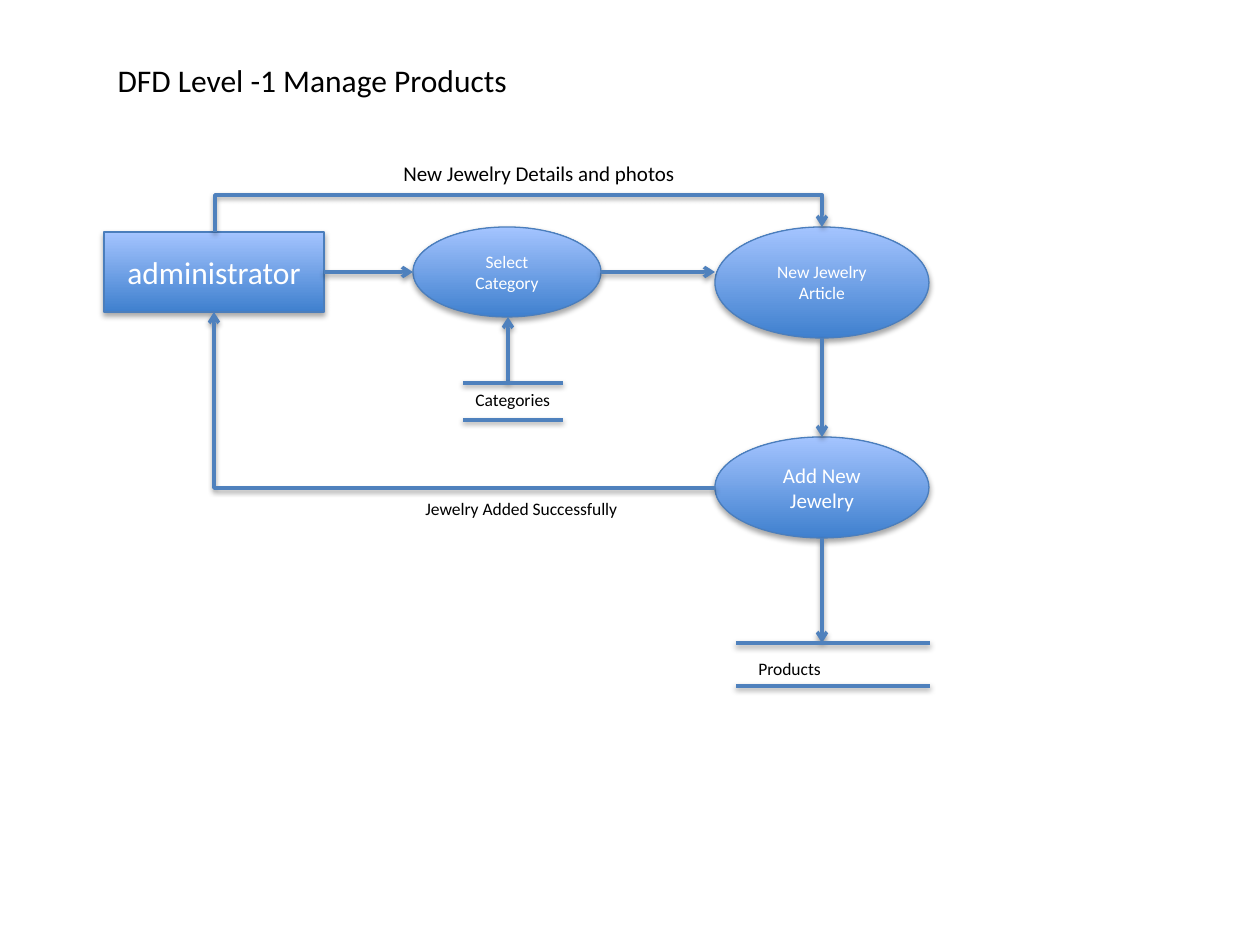
from lxml.etree import SubElement
from pptx import Presentation
from pptx.dml.color import RGBColor
from pptx.enum.shapes import MSO_CONNECTOR, MSO_SHAPE
from pptx.enum.text import MSO_ANCHOR, PP_ALIGN
from pptx.oxml.ns import qn
from pptx.util import Pt

EMU_PER_PX = 914400 / 126
FONT = "Calibri"
COLORS = {
    "node_bottom": "3F80CE",
    "node_top": "A4C4FF",
    "node_edge": "4B7EBC",
    "flow": "4F81BD",
    "text": "000000",
    "node_text": "FFFFFF",
    "shadow": "000000",
}


def px(*lengths):
    return [round(length * EMU_PER_PX) for length in lengths]


def color(name):
    return RGBColor.from_string(COLORS[name])


def add_shadow(spPr, distance, opacity):
    effects = SubElement(spPr, qn("a:effectLst"))
    shadow = SubElement(effects, qn("a:outerShdw"), blurRad="40000",
                        dist=str(distance), dir="5400000", rotWithShape="0")
    tint = SubElement(shadow, qn("a:srgbClr"), val=COLORS["shadow"])
    SubElement(tint, qn("a:alpha"), val=str(opacity * 1000))


def write(frame, text, size, ink="text", align=PP_ALIGN.LEFT, anchor=MSO_ANCHOR.TOP):
    frame.word_wrap = True
    frame.vertical_anchor = anchor
    frame.text = text
    paragraph = frame.paragraphs[0]
    paragraph.alignment = align
    paragraph.font.name = FONT
    paragraph.font.size = Pt(size)
    paragraph.font.color.rgb = color(ink)


def add_title(slide, text, box):
    title = slide.shapes.title
    title.left, title.top, title.width, title.height = px(*box)
    write(title.text_frame, text, 18)


def add_label(slide, text, size, box):
    label = slide.shapes.add_textbox(*px(*box))
    write(label.text_frame, text, size)


def add_node(slide, kind, text, size, box):
    node = slide.shapes.add_shape(kind, *px(*box))
    node.fill.gradient()
    node.fill.gradient_angle = 90
    for stop, name in zip(node.fill.gradient_stops, ("node_bottom", "node_top")):
        stop.color.rgb = color(name)
    node.line.color.rgb = color("node_edge")
    node.line.width = Pt(0.75)
    add_shadow(node.element.spPr, 23000, 35)
    write(node.text_frame, text, size, "node_text", PP_ALIGN.CENTER, MSO_ANCHOR.MIDDLE)


def add_line(slide, start, end, arrow=False, kind=MSO_CONNECTOR.STRAIGHT):
    line = slide.shapes.add_connector(kind, *px(*start, *end))
    line.line.color.rgb = color("flow")
    line.line.width = Pt(2)
    spPr = line.element.spPr
    if arrow:
        SubElement(spPr.find(qn("a:ln")), qn("a:tailEnd"), type="arrow")
    add_shadow(spPr, 20000, 38)
    return line


def add_elbow(slide, box, preset, rotation, flipped=False, bend=None):
    left, top, width, height = box
    elbow = add_line(slide, (left, top), (left + width, top + height), True, MSO_CONNECTOR.ELBOW)
    spPr = elbow.element.spPr
    transform = spPr.find(qn("a:xfrm"))
    transform.set("rot", str(rotation * 60000))
    if flipped:
        transform.set("flipH", "1")
        transform.set("flipV", "1")
    geometry = spPr.find(qn("a:prstGeom"))
    geometry.set("prst", preset)
    if bend is not None:
        SubElement(geometry.find(qn("a:avLst")), qn("a:gd"), name="adj1", fmla=f"val {bend}")


def add_store(slide, left, right, top, bottom, text, text_box):
    for y in (top, bottom):
        add_line(slide, (left, y), (right, y))
    add_label(slide, text, 10, text_box)


def main():
    deck = Presentation()
    deck.slide_width, deck.slide_height = px(1260, 945)
    slide = deck.slides.add_slide(deck.slide_layouts[5])

    add_title(slide, "DFD Level -1 Manage Products", (105, 55, 420, 50))

    nodes = [
        (MSO_SHAPE.RECTANGLE, "administrator", 18, (104, 232, 220, 80)),
        (MSO_SHAPE.OVAL, "Select Category", 10, (413, 227, 188, 90)),
        (MSO_SHAPE.OVAL, "New Jewelry Article", 10, (715, 227, 214, 111)),
        (MSO_SHAPE.OVAL, "Add New Jewelry", 12, (715, 437, 214, 101)),
    ]
    for node in nodes:
        add_node(slide, *node)

    flows = [
        ((324, 272), (413, 272)),
        ((601, 272), (715, 272)),
        ((508, 383), (508, 317)),
        ((822, 338), (822, 437)),
        ((822, 538), (822, 643)),
    ]
    for start, end in flows:
        add_line(slide, start, end, arrow=True)

    add_elbow(slide, (516, -74, 5, 607), "bentConnector3", 90, flipped=True, bend=740000)
    add_elbow(slide, (214, 312, 501, 176), "bentConnector2", 180)

    add_store(slide, 463, 563, 383, 420, "Categories", (463, 383, 118, 34))
    add_store(slide, 736, 930, 643, 686, "Products", (746, 652, 90, 34))

    add_label(slide, "New Jewelry Details and photos", 12, (391, 154, 301, 38))
    add_label(slide, "Jewelry Added Successfully", 10, (413, 492, 222, 34))

    deck.save("out.pptx")


if __name__ == "__main__":
    main()
